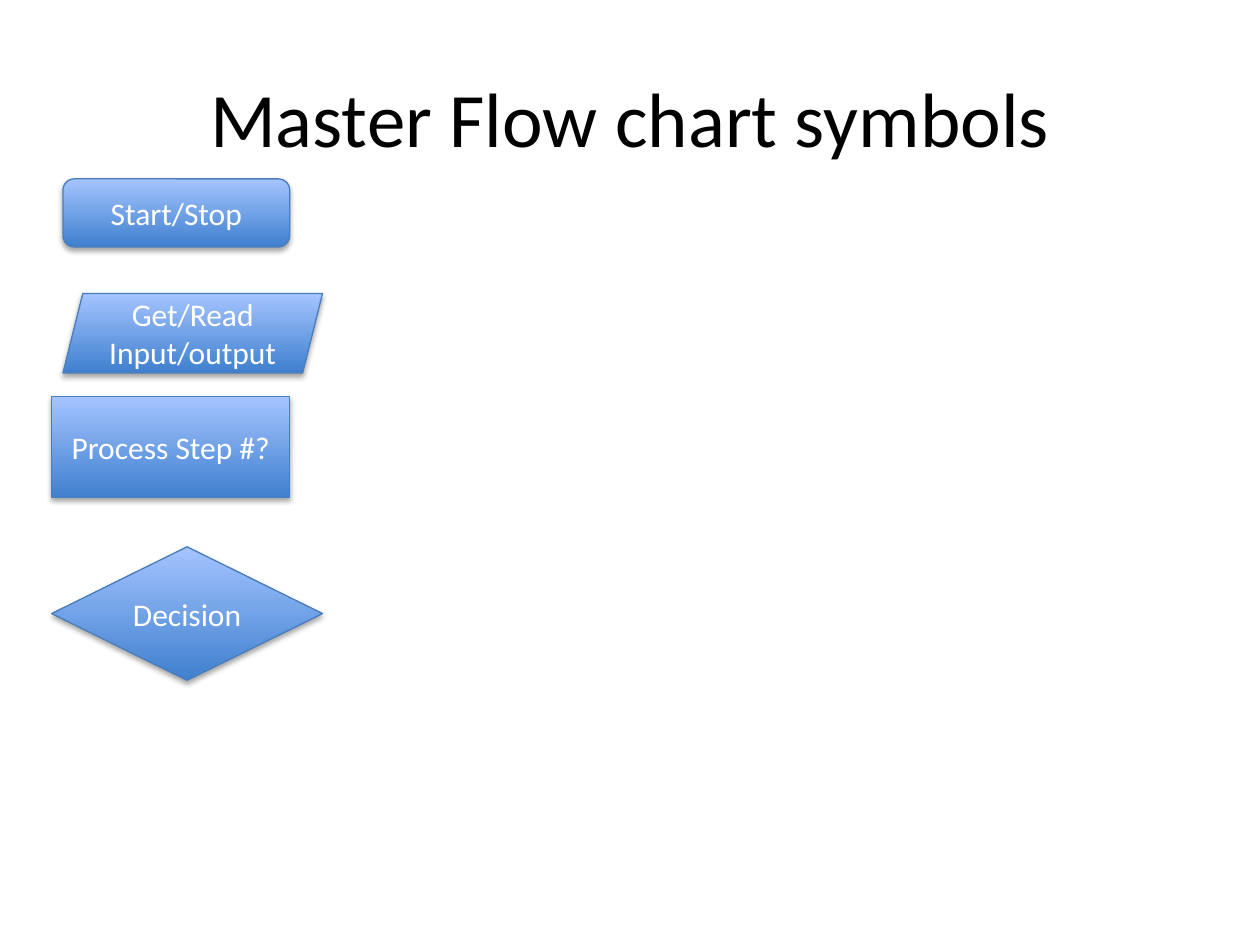
from dataclasses import dataclass

from lxml.etree import SubElement
from pptx import Presentation
from pptx.dml.color import RGBColor
from pptx.enum.shapes import MSO_SHAPE
from pptx.enum.text import MSO_ANCHOR, PP_ALIGN
from pptx.oxml.ns import qn
from pptx.util import Inches, Pt


@dataclass(frozen=True)
class Theme:
    """Hold the colours, font and type sizes of the slide."""

    font: str = "Calibri"
    title_size: int = 44
    label_size: int = 18
    title_color: str = "000000"
    label_color: str = "FFFFFF"
    fill_bottom: str = "3F80CE"
    fill_top: str = "A4C4FF"
    outline: str = "4B7EBC"
    shadow: str = "000000"


THEME = Theme()

SYMBOLS = [
    (MSO_SHAPE.ROUNDED_RECTANGLE, "Start/Stop", (0.5, 1.42, 1.8, 0.54)),
    (MSO_SHAPE.PARALLELOGRAM, "Get/Read Input/output", (0.5, 2.33, 2.06, 0.63)),
    (MSO_SHAPE.DIAMOND, "Decision", (0.41, 4.34, 2.15, 1.06)),
    (MSO_SHAPE.RECTANGLE, "Process Step #?", (0.41, 3.15, 1.89, 0.8)),
]


def write_text(box, text, *, size, color, align=PP_ALIGN.CENTER):
    """Write one formatted paragraph, centred vertically in the box."""
    frame = box.text_frame
    frame.word_wrap = True
    frame.vertical_anchor = MSO_ANCHOR.MIDDLE
    para = frame.paragraphs[0]
    para.alignment = align
    span = para.add_run()
    span.text = text
    span.font.name = THEME.font
    span.font.size = Pt(size)
    span.font.color.rgb = RGBColor.from_string(color)


def add_shadow(box):
    """Give the box a soft shadow that falls straight down."""
    box.shadow.inherit = False
    effects = box._element.spPr.find(qn("a:effectLst"))
    shadow = SubElement(
        effects,
        qn("a:outerShdw"),
        blurRad=str(Pt(3.1)),
        dist=str(Pt(1.8)),
        dir="5400000",
        rotWithShape="0",
    )
    color = SubElement(shadow, qn("a:srgbClr"), val=THEME.shadow)
    SubElement(color, qn("a:alpha"), val="35000")


def add_title(page, text):
    """Place and fill the title placeholder."""
    title = page.shapes.title
    title.left, title.top = Inches(0.5), Inches(0.3)
    title.width, title.height = Inches(9), Inches(1.25)
    write_text(title, text, size=THEME.title_size, color=THEME.title_color)


def add_symbol(page, kind, label, bounds):
    """Draw one labelled flow chart symbol."""
    box = page.shapes.add_shape(kind, *map(Inches, bounds))
    box.fill.gradient()
    box.fill.gradient_angle = 90
    colors = (THEME.fill_bottom, THEME.fill_top)
    for position, (stop, color) in enumerate(zip(box.fill.gradient_stops, colors)):
        stop.position = position
        stop.color.rgb = RGBColor.from_string(color)
    box.line.color.rgb = RGBColor.from_string(THEME.outline)
    box.line.width = Pt(0.75)
    add_shadow(box)
    write_text(box, label, size=THEME.label_size, color=THEME.label_color)


def main():
    """Build the slide of flow chart symbols and save it."""
    deck = Presentation()
    deck.slide_width, deck.slide_height = Inches(10), Inches(7.5)
    page = deck.slides.add_slide(deck.slide_layouts[5])
    add_title(page, "Master Flow chart symbols")
    for kind, label, bounds in SYMBOLS:
        add_symbol(page, kind, label, bounds)
    deck.save("out.pptx")


main()
